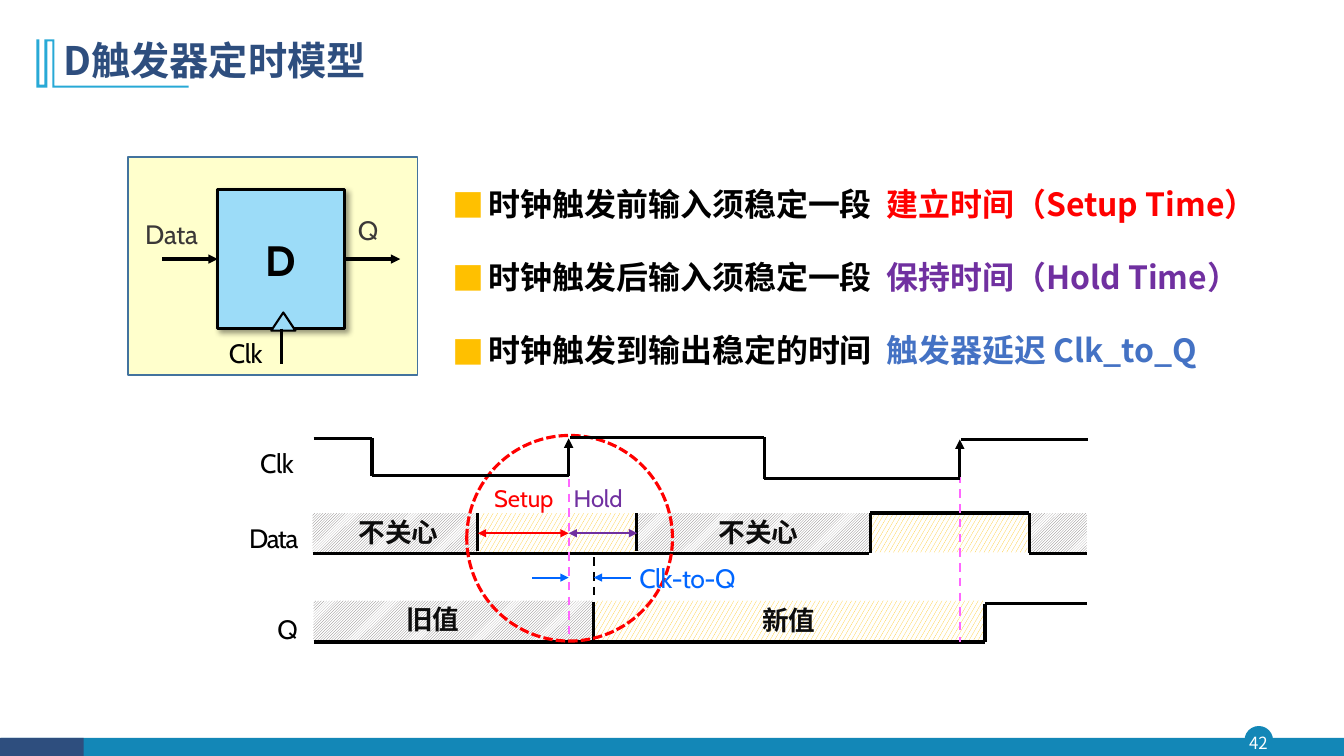
"""Build the slide on the D flip-flop timing model."""
from lxml import etree
from pptx import Presentation
from pptx.dml.color import RGBColor
from pptx.enum.dml import MSO_LINE as DASH, MSO_PATTERN as PATTERN
from pptx.enum.shapes import MSO_CONNECTOR, MSO_SHAPE as SHAPE
from pptx.enum.text import MSO_ANCHOR as ANCHOR, MSO_AUTO_SIZE as FIT, PP_ALIGN as ALIGN
from pptx.oxml import parse_xml
from pptx.oxml.ns import nsdecls, qn
from pptx.util import Inches, Pt

BLACK = RGBColor(0x00, 0x00, 0x00)
INK = RGBColor(0x0D, 0x0D, 0x0D)
DARK = RGBColor(0x3B, 0x38, 0x38)
GRAY = RGBColor(0x76, 0x71, 0x71)
WHITE = RGBColor(0xFF, 0xFF, 0xFF)
TEAL = RGBColor(0x13, 0x87, 0xB7)
CYAN = RGBColor(0x28, 0xA9, 0xD6)
NAVY = RGBColor(0x2E, 0x4E, 0x7E)
AMBER = RGBColor(0xFF, 0xC0, 0x00)
CREAM = RGBColor(0xFF, 0xFF, 0xCC)
EDGE = RGBColor(0x43, 0x73, 0x9E)
SKY = RGBColor(0x9C, 0xDC, 0xF8)
RED = RGBColor(0xFF, 0x00, 0x00)
PURPLE = RGBColor(0x70, 0x30, 0xA0)
BLUE = RGBColor(0x44, 0x72, 0xC4)
BRIGHT = RGBColor(0x00, 0x66, 0xFF)
PINK = RGBColor(0xFF, 0x66, 0xFF)
CJK, LATIN = "Noto Sans CJK SC", "Cabin"


def add_text(p, text, size=19, color=BLACK, font=LATIN, bold=False, spc=0):
    r = p.add_run()
    r.text = text
    r.font.size, r.font.bold, r.font.name = Pt(size), bold, font
    r.font.color.rgb = color
    rpr = r.font._element
    etree.SubElement(rpr, qn("a:ea")).set("typeface", font)
    if spc:
        rpr.set("spc", str(round(spc * 100)))
    return r


class TimingSlide:
    def __init__(self, prs):
        self.slide = prs.slides.add_slide(prs.slide_layouts[5])
        self.shapes = self.slide.shapes
        self.weight = 2.25

    def title(self, text, x, y, w, h):
        sp = self.shapes.title
        sp.left, sp.top, sp.width, sp.height = map(Inches, (x, y, w, h))
        tf = sp.text_frame
        tf.auto_size, tf.vertical_anchor = FIT.NONE, ANCHOR.MIDDLE
        p = tf.paragraphs[0]
        p.alignment, p.line_spacing = ALIGN.LEFT, 0.9
        add_text(p, text, size=28, color=NAVY, font=CJK, bold=True)

    def box(self, kind, x, y, w, h, fill=None, line=None, weight=1):
        sp = self.shapes.add_shape(kind, *map(Inches, (x, y, w, h)))
        sp.shadow.inherit = False
        self.paint(sp, fill, line, weight)
        return sp

    def paint(self, sp, fill, line=None, weight=1):
        if fill is None:
            sp.fill.background()
        else:
            sp.fill.solid()
            sp.fill.fore_color.rgb = fill
        if line is None:
            sp.line.fill.background()
        else:
            sp.line.color.rgb, sp.line.width = line, Pt(weight)

    def outline(self, points, fill):
        start, *rest = [(Inches(x), Inches(y)) for x, y in points]
        builder = self.shapes.build_freeform(*start)
        builder.add_line_segments(rest, close=True)
        sp = builder.convert_to_shape()
        sp.shadow.inherit = False
        self.paint(sp, fill)

    def band(self, x, y, w, pattern, color, h=0.39):
        sp = self.box(SHAPE.RECTANGLE, x, y, w, h)
        sp.fill.patterned()
        sp.fill.pattern = pattern
        sp.fill.fore_color.rgb, sp.fill.back_color.rgb = color, WHITE

    def unknown(self, x, y, w):
        self.band(x, y, w, PATTERN.LIGHT_UPWARD_DIAGONAL, GRAY)

    def valid(self, x, y, w):
        self.band(x, y, w, PATTERN.LARGE_CONFETTI, AMBER)

    def line(self, start, end, color=BLACK, weight=None, dash=None, head=False, tail=False):
        cxn = self.shapes.add_connector(MSO_CONNECTOR.STRAIGHT, *map(Inches, (*start, *end)))
        cxn.line.color.rgb, cxn.line.width = color, Pt(weight or self.weight)
        if dash:
            cxn.line.dash_style = dash
        ln = cxn.line._get_or_add_ln()
        for name, wanted in (("a:headEnd", head), ("a:tailEnd", tail)):
            if wanted:
                etree.SubElement(ln, qn(name)).set("type", "triangle")
        etree.SubElement(cxn._element.spPr, qn("a:effectLst"))
        return cxn

    def wave(self, *points):
        for start, end in zip(points, points[1:]):
            self.line(start, end)

    def label(self, text, x, y, w, h=0.28, spacing=19.8, **style):
        tf = self.shapes.add_textbox(*map(Inches, (x, y, w, h))).text_frame
        tf.margin_left = tf.margin_right = tf.margin_top = tf.margin_bottom = 0
        tf.word_wrap, tf.auto_size = True, FIT.SHAPE_TO_FIT_TEXT
        p = tf.paragraphs[0]
        p.line_spacing = Pt(spacing)
        add_text(p, text, **{"spc": -0.1, **style})

    def state(self, text, x, y):
        self.label(text, x, y, 0.94, color=INK, font=CJK, bold=True)

    def bullets(self, rows, x, y, w, h):
        tf = self.shapes.add_textbox(*map(Inches, (x, y, w, h))).text_frame
        tf.word_wrap, tf.auto_size = True, FIT.SHAPE_TO_FIT_TEXT
        for i, (lead, term, color) in enumerate(rows):
            p = tf.add_paragraph() if i else tf.paragraphs[0]
            ppr = p._p.get_or_add_pPr()
            ppr.set("marL", str(Inches(0.36)))
            ppr.set("indent", str(-Inches(0.36)))
            clr = etree.SubElement(ppr, qn("a:buClr"))
            etree.SubElement(clr, qn("a:srgbClr")).set("val", str(AMBER))
            etree.SubElement(ppr, qn("a:buFont")).set("typeface", CJK)
            etree.SubElement(ppr, qn("a:buChar")).set("char", "■")
            p.line_spacing, p.space_after = 1.5, Pt(5.7)
            p.space_before = Pt(5.7 if i else 0)
            for text, tint in ((lead + "  ", BLACK), (term, color)):
                add_text(p, text, size=22.8, color=tint, font=CJK, bold=True)

    def frame(self):
        self.box(SHAPE.OVAL, 12.35, 7.21, 0.27, 0.27, TEAL, TEAL)
        self.box(SHAPE.RECTANGLE, 0.01, 7.32, 13.32, 0.19, TEAL)
        self.box(SHAPE.RECTANGLE, 0, 7.32, 0.83, 0.19, NAVY)
        tf = self.shapes.add_textbox(*map(Inches, (12.32, 7.21, 0.32, 0.31))).text_frame
        tf.margin_left = tf.margin_right = tf.margin_top = tf.margin_bottom = 0
        tf.word_wrap, tf.vertical_anchor = True, ANCHOR.MIDDLE
        p = tf.paragraphs[0]
        p.alignment = ALIGN.CENTER
        add_text(p, "42", size=12, color=WHITE, font=CJK)
        self.outline([(0.54, 0.39), (0.54, 0.85), (1.87, 0.85), (1.87, 0.87), (0.52, 0.87),
                      (0.52, 0.41), (0.47, 0.41), (0.47, 0.87), (0.36, 0.87), (0.36, 0.39),
                      (0.39, 0.39), (0.39, 0.84), (0.44, 0.84), (0.44, 0.39)], CYAN)

    def flip_flop(self):
        self.box(SHAPE.RECTANGLE, 1.27, 1.56, 2.87, 2.16, CREAM, EDGE)
        cell = self.box(SHAPE.RECTANGLE, 2.16, 1.88, 1.26, 1.38, SKY, BLACK, self.weight)
        cell._element.spPr.find(qn("a:effectLst")).append(parse_xml(
            f'<a:outerShdw {nsdecls("a")} blurRad="{Pt(4)}" dist="{Pt(3)}" dir="2700000" '
            'algn="tl" rotWithShape="0"><a:srgbClr val="000000"><a:alpha val="40000"/>'
            '</a:srgbClr></a:outerShdw>'))
        cell.text_frame.vertical_anchor = ANCHOR.MIDDLE
        p = cell.text_frame.paragraphs[0]
        p.alignment = ALIGN.CENTER
        add_text(p, "D", size=30.3, bold=True)
        self.box(SHAPE.ISOSCELES_TRIANGLE, 2.69, 3.1, 0.24, 0.18, SKY, BLACK, 1.5)
        self.line((1.61, 2.57), (2.16, 2.57), tail=True).end_connect(cell, 1)
        self.line((3.42, 2.57), (3.97, 2.57), tail=True).begin_connect(cell, 3)
        self.line((2.79, 3.26), (2.79, 3.61)).begin_connect(cell, 2)
        self.label("Data", 1.44, 2.2, 0.94, color=DARK)
        self.label("Q", 3.55, 2.16, 0.66, color=DARK)
        self.label("Clk", 2.27, 3.38, 0.52, spc=-0.3)

    def waveforms(self):
        for x, w in ((3.1, 1.64), (6.33, 2.29), (10.23, 0.55)):
            self.unknown(x, 5.09, w)
        for x in (4.76, 8.64):
            self.valid(x, 5.09, 1.55)
        self.unknown(3.11, 5.96, 2.77)
        self.valid(5.89, 5.96, 3.88)
        self.wave((3.1, 5.49), (8.62, 5.49))
        for x in (4.74, 6.31):
            self.line((x, 5.09), (x, 5.47))
        self.wave((8.63, 5.49), (8.63, 5.09), (10.21, 5.09), (10.21, 5.49), (10.78, 5.49))
        self.wave((3.11, 6.37), (9.77, 6.37), (9.77, 5.99), (10.78, 5.99))
        self.line((5.89, 5.97), (5.89, 6.35))
        for text, x, y in (("不关心", 3.56, 5.16), ("不关心", 7.13, 5.16),
                           ("旧值", 4.03, 6.02), ("新值", 7.56, 6.03)):
            self.state(text, x, y)
        self.box(SHAPE.OVAL, 4.63, 4.32, 2.04, 2.04, None, RED, self.weight).line.dash_style = DASH.SQUARE_DOT
        for text, x, y, w, spc in (("Clk", 2.58, 4.48, 0.52, -0.3),
                                   ("Data", 2.47, 5.22, 0.63, -0.9), ("Q", 2.75, 6.12, 0.21, -0.9)):
            self.label(text, x, y, w, spc=spc)
        for x, top, bottom, color in ((5.89, 5.53, 5.93, BLACK), (5.64, 4.75, 6.35, PINK),
                                      (9.52, 4.71, 6.37, PINK)):
            self.line((x, top), (x, bottom), color, 1.5, DASH.DASH)
        self.wave((3.11, 4.35), (3.69, 4.35), (3.69, 4.72), (5.64, 4.72))
        self.wave((5.65, 4.34), (7.58, 4.34), (7.58, 4.75), (9.52, 4.75))
        self.line((9.53, 4.36), (10.79, 4.36))
        for x, top in ((5.64, 4.35), (9.52, 4.36)):
            self.line((x, top), (x, top + 0.37), head=True)

    def intervals(self):
        for text, x, start, end, color in (("Setup", 4.9, 4.74, 5.64, RED),
                                           ("Hold", 5.69, 5.64, 6.32, PURPLE)):
            self.label(text, x, 4.81, 0.69, size=17, color=color)
            self.line((start, 5.29), (end, 5.29), color, 1.5, head=True, tail=True)
        self.label("Clk-to-Q", 6.34, 5.58, 1.32, 0.32, 22.5, color=BRIGHT, spc=-0.4)
        self.line((5.89, 5.73), (6.26, 5.73), BRIGHT, 1.5, head=True)
        self.line((5.28, 5.73), (5.64, 5.73), BRIGHT, 1.5, tail=True)


def main():
    prs = Presentation()
    prs.slide_width, prs.slide_height = Inches(13.33), Inches(7.5)
    s = TimingSlide(prs)
    s.frame()
    s.title("D触发器定时模型", 0.53, 0.28, 11.5, 0.68)
    s.bullets([("时钟触发前输入须稳定一段", "建立时间（Setup Time）", RED),
               ("时钟触发后输入须稳定一段", "保持时间（Hold Time）", PURPLE),
               ("时钟触发到输出稳定的时间", "触发器延迟 Clk_to_Q", BLUE)], 4.39, 1.59, 8.45, 2.16)
    s.flip_flop()
    s.waveforms()
    s.intervals()
    prs.save("out.pptx")


if __name__ == "__main__":
    main()
